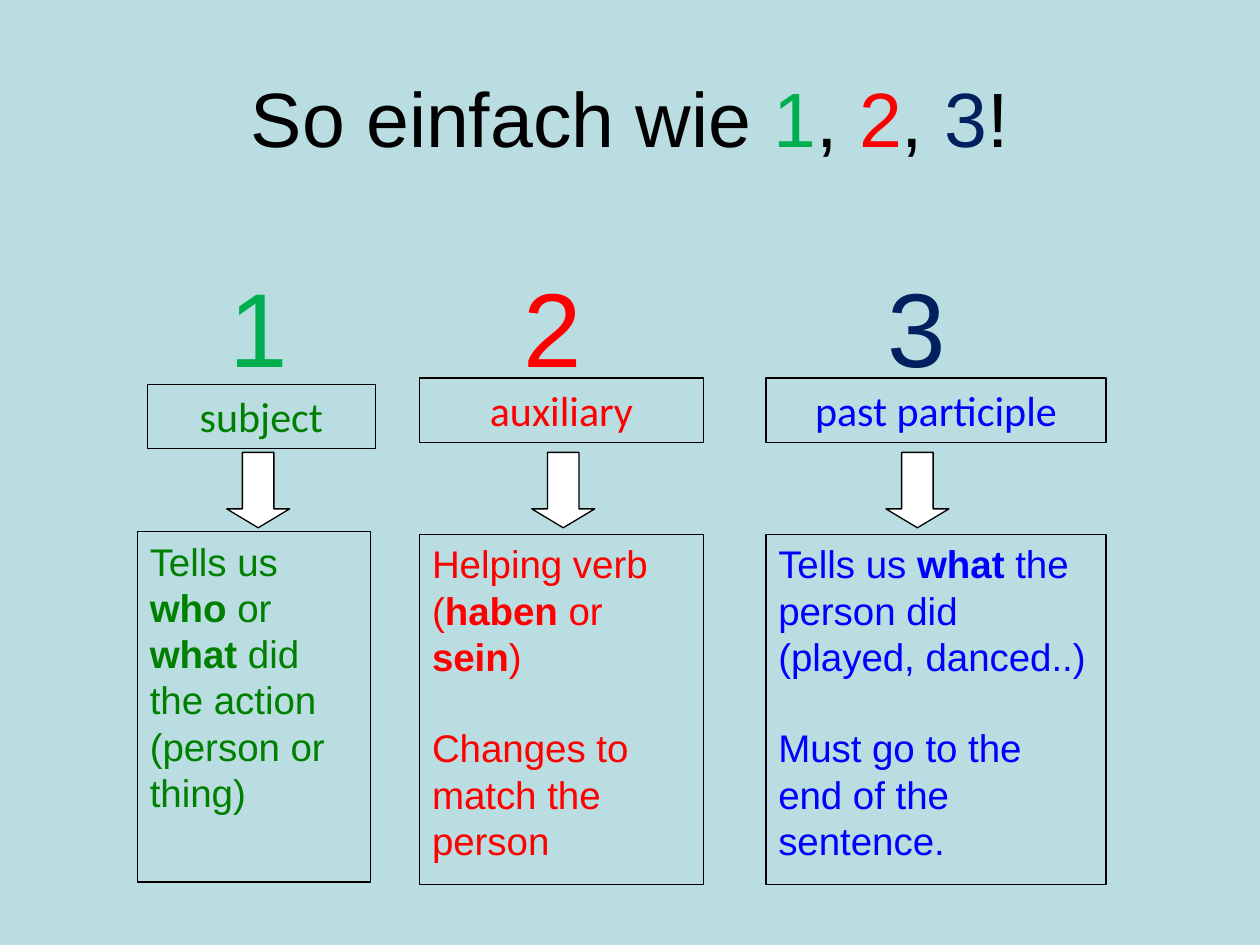
import pptx
import pptx.util
import pptx.dml.color
import pptx.enum.shapes
import pptx.enum.text

Cm, Pt = pptx.util.Cm, pptx.util.Pt
RGBColor = pptx.dml.color.RGBColor
MSO_SHAPE = pptx.enum.shapes.MSO_SHAPE
PP_ALIGN = pptx.enum.text.PP_ALIGN
MSO_ANCHOR = pptx.enum.text.MSO_ANCHOR

BACKGROUND = RGBColor(0xBA, 0xDD, 0xE1)
BLACK = RGBColor(0, 0, 0)
WHITE = RGBColor(0xFF, 0xFF, 0xFF)
LEAF = RGBColor(0x00, 0xB0, 0x50)
GREEN = RGBColor(0x00, 0x80, 0x00)
RED = RGBColor(0xFF, 0, 0)
NAVY = RGBColor(0x00, 0x20, 0x60)
BLUE = RGBColor(0, 0, 0xFF)


def add_run(p, text, font, size, color, bold=False):
    """Append a formatted run to a paragraph."""
    r = p.add_run()
    r.text = text
    r.font.name = font
    r.font.size = Pt(size)
    r.font.color.rgb = color
    r.font.bold = bold


def add_text(s, x, y, w, h):
    """Add an empty wrapping text box and return it."""
    sp = s.shapes.add_textbox(Cm(x), Cm(y), Cm(w), Cm(h))
    sp.text_frame.word_wrap = True
    return sp


def add_outlined(s, kind, x, y, w, h, fill=None):
    """Add a thinly outlined shape, filled only if a colour is given."""
    sp = s.shapes.add_shape(kind, Cm(x), Cm(y), Cm(w), Cm(h))
    sp.shadow.inherit = False
    sp.line.color.rgb = BLACK
    sp.line.width = Pt(0.75)
    if fill is None:
        sp.fill.background()
    else:
        sp.fill.solid()
        sp.fill.fore_color.rgb = fill
    return sp


def add_title(s):
    """Add the centred title with its coloured digits."""
    tf = add_text(s, 1.27, 0.76, 22.86, 3.18).text_frame
    tf.vertical_anchor = MSO_ANCHOR.MIDDLE
    p = tf.paragraphs[0]
    p.alignment = PP_ALIGN.CENTER
    for text, color in (("So einfach wie ", BLACK), ("1", LEAF), (", ", BLACK),
                        ("2", RED), (", ", BLACK), ("3", NAVY), ("!", BLACK)):
        add_run(p, text, "Arial", 44, color)


def add_number(s, x, text, color):
    """Add the large number above a column."""
    tf = add_text(s, x, 4.95, 1.9, 3.48).text_frame
    tf.margin_top = Cm(0.35)
    add_run(tf.paragraphs[0], text, "Arial", 60, color)


def add_label(s, x, y, w, text, color):
    """Add the framed name of a sentence part."""
    tf = add_outlined(s, MSO_SHAPE.RECTANGLE, x, y, w, 1.3).text_frame
    tf.vertical_anchor = MSO_ANCHOR.TOP
    p = tf.paragraphs[0]
    p.alignment = PP_ALIGN.CENTER
    add_run(p, text, "Calibri", 24, color)


def add_arrow(s, x):
    """Add the block arrow from a label to its explanation."""
    sp = add_outlined(s, MSO_SHAPE.DOWN_ARROW, x, 9.12, 1.27, 1.52, WHITE)
    sp.adjustments[0] = 0.5
    sp.adjustments[1] = 0.3


def add_explanation(s, x, y, w, paragraphs, color):
    """Add a framed explanation whose odd-numbered pieces are bold."""
    tf = add_outlined(s, MSO_SHAPE.RECTANGLE, x, y, w, 7.06).text_frame
    tf.word_wrap = True
    tf.vertical_anchor = MSO_ANCHOR.TOP
    for i, pieces in enumerate(paragraphs):
        p = tf.add_paragraph() if i else tf.paragraphs[0]
        p.alignment = PP_ALIGN.LEFT
        if i:
            p.space_before = Pt(26)
        for j, text in enumerate(pieces):
            add_run(p, text, "Arial", 22, color, bold=j % 2 == 1)


def main():
    """Build the slide and save it."""
    prs = pptx.Presentation()
    prs.slide_width, prs.slide_height = Cm(25.4), Cm(19.05)
    s = prs.slides.add_slide(prs.slide_layouts[6])
    s.background.fill.solid()
    s.background.fill.fore_color.rgb = BACKGROUND
    add_title(s)

    for x, text, color in ((4.37, "1", LEAF), (10.31, "2", RED), (17.65, "3", NAVY)):
        add_number(s, x, text, color)

    add_label(s, 2.97, 7.75, 4.6, "subject", GREEN)
    add_label(s, 8.46, 7.62, 5.72, "auxiliary", RED)
    add_label(s, 15.44, 7.62, 6.86, "past participle", BLUE)

    add_explanation(s, 2.77, 10.72, 4.7, [
        ("Tells us ", "who", " or ", "what", " did the action (person or thing)"),
    ], GREEN)
    add_explanation(s, 8.46, 10.77, 5.72, [
        ("Helping verb (", "haben", " or ", "sein", ")"),
        ("Changes to match the person",),
    ], RED)
    add_explanation(s, 15.44, 10.77, 6.86, [
        ("Tells us ", "what", " the person did (played, danced..)"),
        ("Must go to the end of the sentence.",),
    ], BLUE)

    for x in (4.57, 10.72, 17.86):
        add_arrow(s, x)
    prs.save("out.pptx")


if __name__ == "__main__":
    main()
